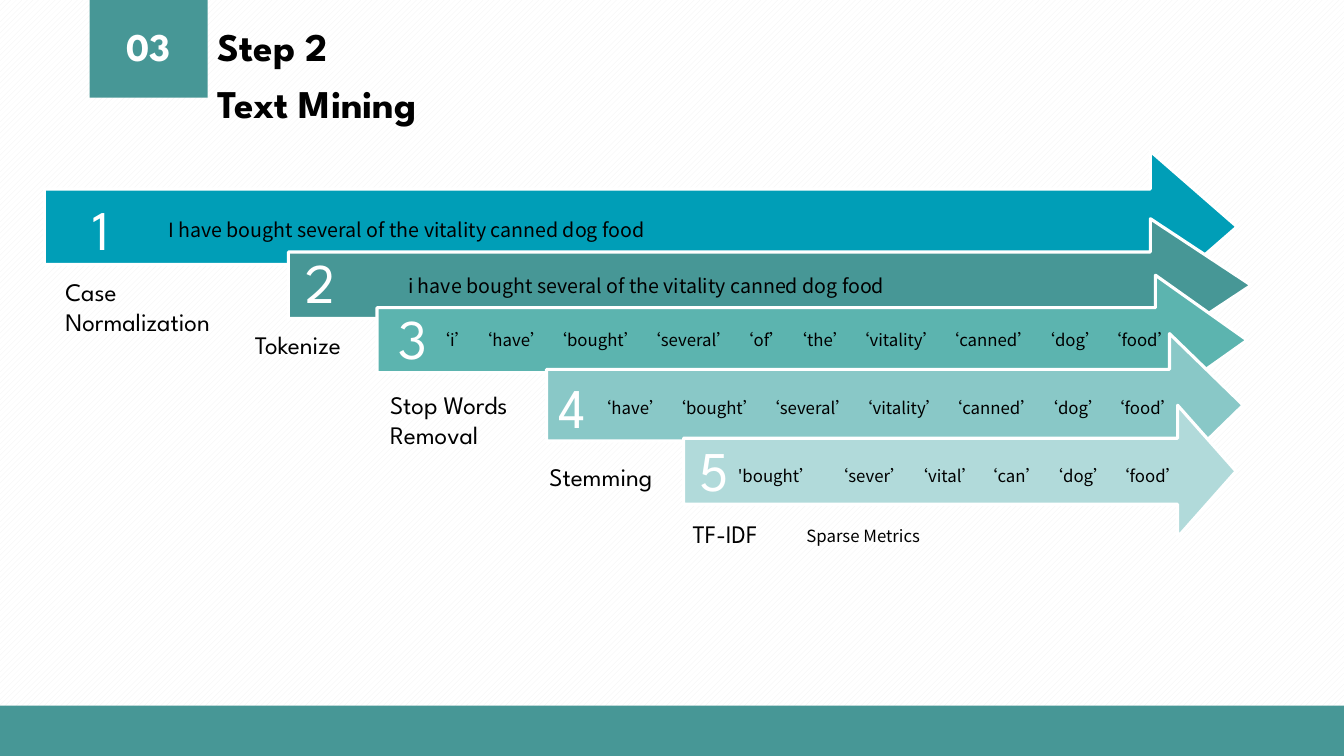
from itertools import accumulate
from lxml.etree import SubElement
from pptx import Presentation
from pptx.dml.color import RGBColor
from pptx.enum.dml import MSO_PATTERN
from pptx.enum.shapes import MSO_SHAPE
from pptx.enum.text import PP_ALIGN as Align
from pptx.oxml.ns import qn
from pptx.util import Inches, Pt

W, H = 13.33, 7.5
HEAD, BODY = "League Spartan", "Noto Sans CJK SC"
TEAL, WHITE, BLACK = "479796", "FFFFFF", "000000"
rgb = RGBColor.from_string

prs = Presentation()
prs.slide_width, prs.slide_height = Inches(W), Inches(H)
s = prs.slides.add_slide(prs.slide_layouts[6])


def add_text(text, x, y, w, h, size=18, font=HEAD, color=BLACK, bold=False,
             align=Align.LEFT, spacing=1.0, before=0, tabs=()):
    tf = s.shapes.add_textbox(*map(Inches, (x, y, w, h))).text_frame
    tf.word_wrap = True
    for i, line in enumerate(text.split("\n")):
        p = tf.paragraphs[0] if i == 0 else tf.add_paragraph()
        p.alignment, p.line_spacing = align, spacing
        if i:
            p.space_before = Pt(before)
        if tabs:
            stops = SubElement(p._p.get_or_add_pPr(), qn("a:tabLst"))
            for pos in tabs:
                SubElement(stops, qn("a:tab"), pos=str(Inches(pos)), algn="l")
        r = p.add_run()
        r.text = line
        r.font.size, r.font.name, r.font.bold = Pt(size), font, bold
        r.font.color.rgb = rgb(color)


# Background
fill = s.background.fill
fill.patterned()
fill.pattern = MSO_PATTERN.WIDE_UPWARD_DIAGONAL
fill.fore_color.rgb, fill.back_color.rgb = rgb("F2F2F2"), rgb(WHITE)

# Section tab and footer bar
for box in [(0.89, 0, 1.17, 0.97), (0, H - 0.5, W, 0.5)]:
    sp = s.shapes.add_shape(MSO_SHAPE.RECTANGLE, *map(Inches, box))
    sp.shadow.inherit = False
    sp.fill.solid()
    sp.fill.fore_color.rgb = rgb(TEAL)
    sp.line.fill.background()

# Heading
title = dict(size=28, bold=True, spacing=0.9, before=10)
add_text("03", 0.89, 0.23, 1.17, 0.47, color=WHITE, align=Align.CENTER, **title)
add_text("Step 2\nText Mining", 2.06, 0.23, 5.19, 0.47, **title)

# Step arrows: left, neck, tip, top, height; the shaft is the middle half
arrows = [
    (0.44, 11.41, 12.27, 1.50, 1.50, "009EB7"),
    (2.86, 11.41, 12.41, 2.17, 1.32, TEAL),
    (3.74, 11.46, 12.37, 2.73, 1.29, "5CB4AF"),
    (5.42, 11.60, 12.33, 3.31, 1.42, "89C8C7"),
    (6.78, 11.68, 12.26, 4.02, 1.31, "B1DADA"),
]
for left, neck, tip, top, h, color in arrows:
    y1, mid, y2, bottom = (top + h * k / 4 for k in range(1, 5))
    fb = s.shapes.build_freeform(Inches(left), Inches(y1), scale=1.0)
    outline = [(neck, y1), (neck, top), (tip, mid), (neck, bottom), (neck, y2), (left, y2)]
    fb.add_line_segments([(Inches(x), Inches(y)) for x, y in outline], close=True)
    sp = fb.convert_to_shape()
    sp.shadow.inherit = False
    sp.fill.solid()
    sp.fill.fore_color.rgb = rgb(color)
    sp.line.color.rgb, sp.line.width = rgb(WHITE), Pt(2.25)

# Step numbers
numbers = [(0.82, 1.88), (2.93, 2.41), (3.85, 2.96), (5.44, 3.65), (6.84, 4.27)]
for n, (x, y) in enumerate(numbers, 1):
    add_text(str(n), x, y, 0.51, 0.77, size=40, color=WHITE)

# Operation labels
labels = [
    ("Case\nNormalization", 0.55, 2.69, 1.87, 0.71),
    ("Tokenize", 2.43, 3.22, 1.24, 0.4),
    ("Stop Words\nRemoval", 3.77, 3.81, 1.57, 0.71),
    ("Stemming", 5.35, 4.53, 1.43, 0.4),
    ("TF-IDF", 6.77, 5.09, 0.95, 0.4),
]
for label in labels:
    add_text(*label)

# Sentences
body = dict(font=BODY, spacing=1.3)
add_text("I have bought several of the vitality canned dog food",
         1.57, 2.04, 5.2, 0.38, size=14, **body)
add_text("i have bought several of the vitality canned dog food",
         3.95, 2.6, 7.19, 0.38, size=14, **body)
add_text("Sparse Metrics", 7.9, 5.11, 1.38, 0.34, size=12, **body)

# Token rows: each word's advance sets the next tab stop
advance = {"i": 0.42, "have": 0.74, "bought": 0.93, "several": 0.92, "of": 0.53,
           "the": 0.62, "vitality": 0.89, "canned": 0.95, "dog": 0.66,
           "sever": 0.79, "vital": 0.69, "can": 0.65}
rows = [
    ("‘i’ ‘have’ ‘bought’ ‘several’ ‘of’ ‘the’ ‘vitality’ ‘canned’ ‘dog’ ‘food’", 4.2, 3.16, 7.8),
    ("‘have’ ‘bought’ ‘several’ ‘vitality’ ‘canned’ ‘dog’ ‘food’", 5.8, 3.84, 7.5),
    ("'bought’ ‘sever’ ‘vital’ ‘can’ ‘dog’ ‘food’", 7.22, 4.51, 4.67),
]
for text, x, y, w in rows:
    tokens = text.split()
    stops = accumulate(advance[t.strip("'‘’")] for t in tokens[:-1])
    add_text("\t".join(tokens), x, y, w, 0.36, size=12, tabs=list(stops), **body)

prs.save("out.pptx")
